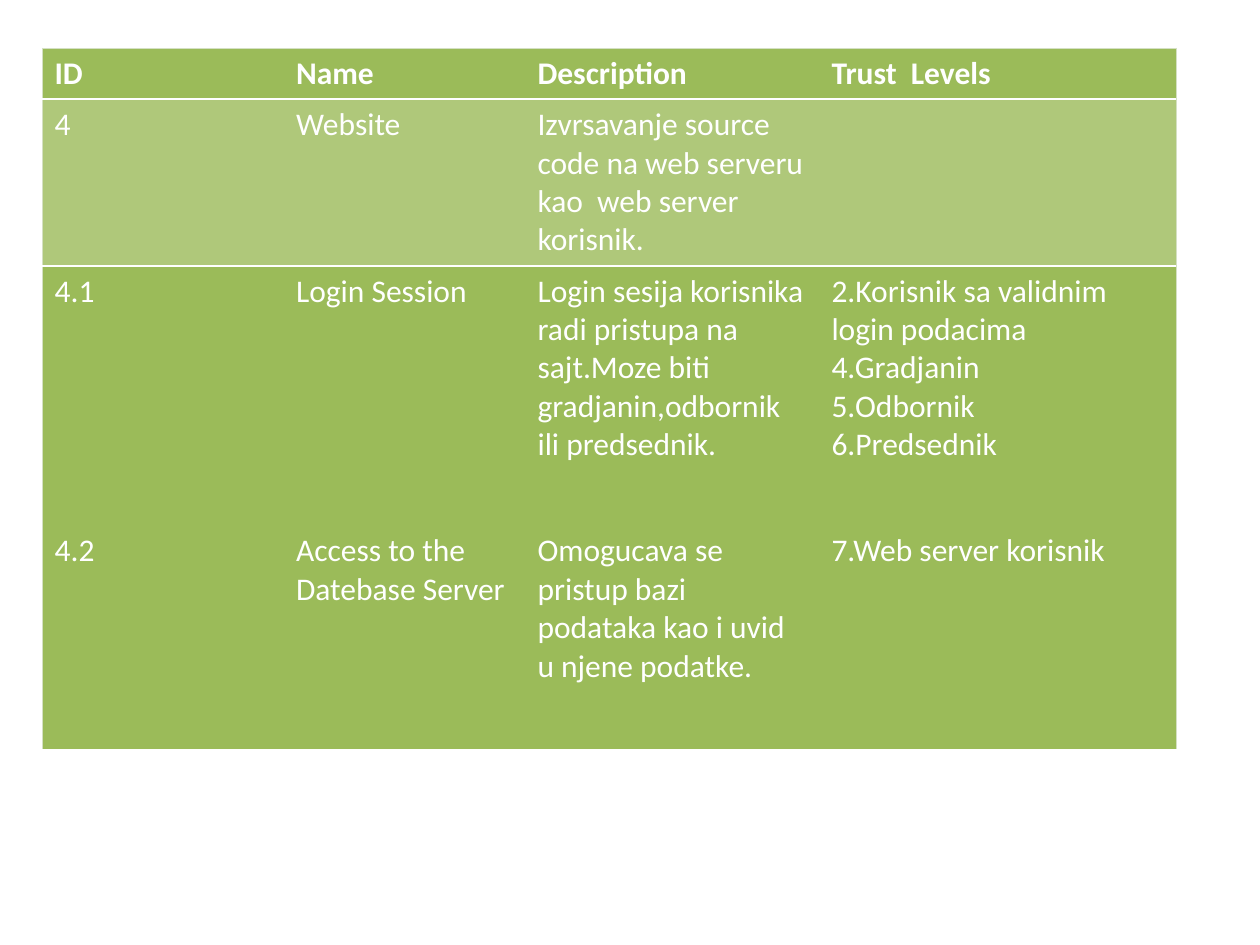
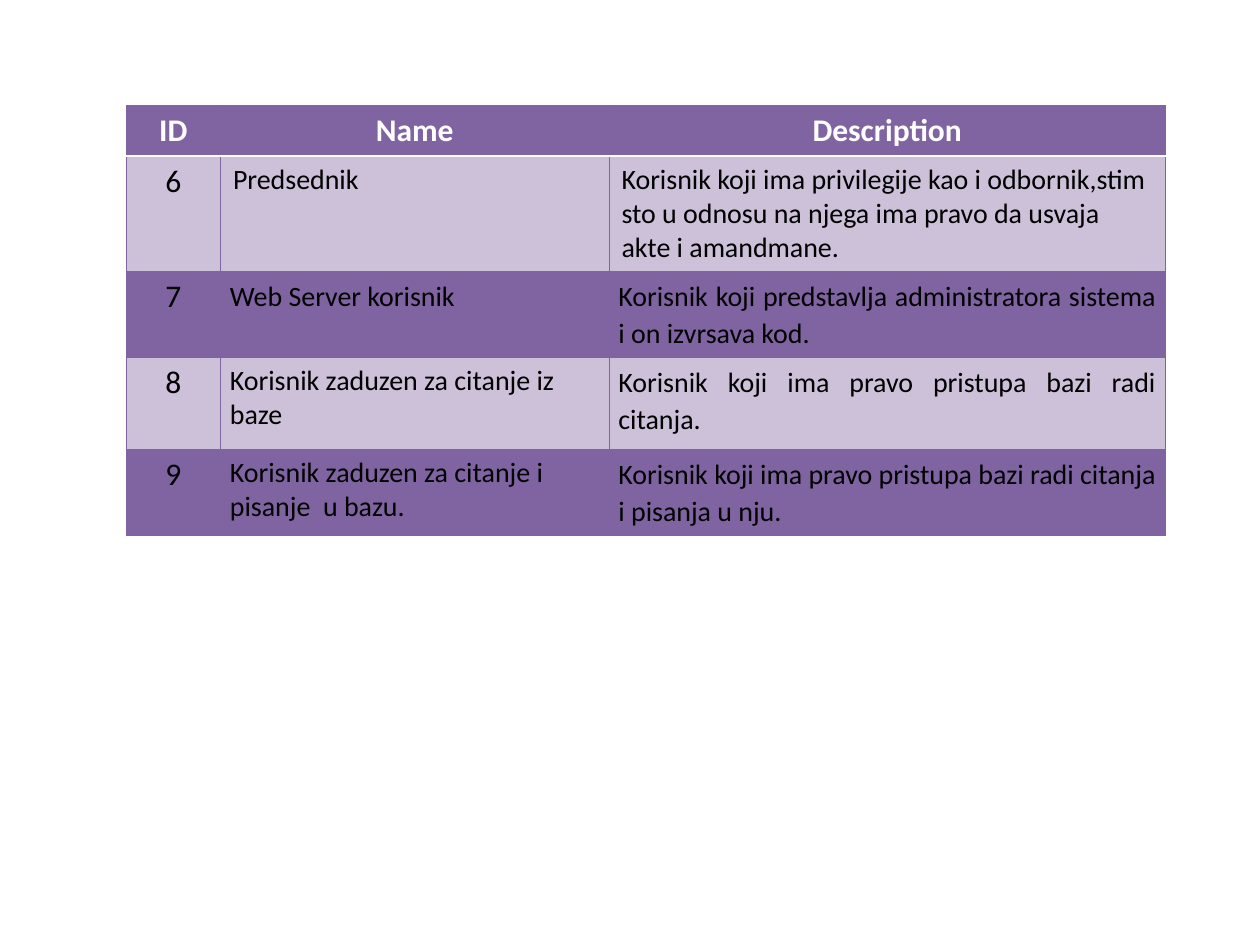
from dataclasses import dataclass

from lxml import etree
from pptx import Presentation
from pptx import util as u
from pptx.dml.color import RGBColor
from pptx.enum import text
from pptx.oxml import ns

Pt = u.Pt
ALIGN = text.PP_ALIGN


@dataclass(frozen=True)
class Theme:
    font: str = "Calibri"
    large: float = 18
    small: float = 16
    white: str = "FFFFFF"
    black: str = "000000"
    green: str = "9BBB59"
    lime: str = "AFC87A"
    mist: str = "D4E0C3"
    purple: str = "8064A2"
    lilac: str = "CCC1D9"
    hair: float = 0.34
    plain: str = "{2D5ABB26-0587-4C30-8999-92F81FD0307C}"  # no style, no grid


THEME = Theme()


@dataclass(frozen=True)
class Style:
    """How the text of one cell is set."""
    size: float = THEME.large
    color: str = THEME.white
    bold: bool = False
    align: ALIGN = ALIGN.LEFT
    space: float = 1.0
    side: float = 7.2


HEAD = Style(bold=True)
BODY = Style()
TITLE = Style(bold=True, align=ALIGN.CENTER)
COUNT = Style(color=THEME.black, align=ALIGN.CENTER)
WIDE = Style(THEME.small, THEME.black)
TIGHT = Style(THEME.small, THEME.black, side=5.4)
BLOCK = Style(THEME.small, THEME.black, align=ALIGN.JUSTIFY, space=1.07, side=5.4)


@dataclass(frozen=True)
class Grid:
    left: float
    top: float
    cols: list[float]
    rows: list[float]
    cells: list[list[str]]
    styles: list[list[Style]]
    fills: list[str]
    edge: str
    rule: float  # width of the white line under the header
    inner: bool  # whether inner cell borders are drawn


ASSETS = Grid(
    24, 27.5, [138, 138, 168, 204], [29.25, 94, 148.5, 127.5],
    [
        ["ID", "Name", "Description", "Trust  Levels"],
        ["4", "Website",
         "Izvrsavanje source code na web serveru kao  web server korisnik.", ""],
        ["4.1", "Login Session",
         "Login sesija korisnika radi pristupa na sajt.Moze biti "
         "gradjanin,odbornik ili predsednik.",
         "2.Korisnik sa validnim login podacima\n4.Gradjanin\n5.Odbornik\n6.Predsednik"],
        ["4.2", "Access to the Datebase Server",
         "Omogucava se pristup bazi podataka kao i uvid u njene podatke.",
         "7.Web server korisnik"],
    ],
    [[HEAD] * 4] + [[BODY] * 4] * 3,
    [THEME.green, THEME.lime, THEME.green, THEME.green],
    THEME.mist, 1.47, False,
)

USERS = Grid(
    72, 60, [54, 222, 318], [29.25, 65, 41, 52.5, 41],
    [
        ["ID", "Name", "Description"],
        ["6", "Predsednik",
         "Korisnik koji ima privilegije kao i odbornik,stim sto u odnosu na "
         "njega ima pravo da usvaja akte i amandmane."],
        ["7", "Web Server korisnik",
         "Korisnik koji predstavlja administratora sistema i on izvrsava kod."],
        ["8", "Korisnik zaduzen za citanje iz baze",
         "Korisnik koji ima pravo pristupa bazi radi citanja."],
        ["9", "Korisnik zaduzen za citanje i pisanje  u bazu.",
         "Korisnik koji ima pravo pristupa bazi radi citanja i pisanja u nju."],
    ],
    [[TITLE] * 3, [COUNT, WIDE, WIDE], [COUNT, BLOCK, BLOCK],
     [COUNT, TIGHT, BLOCK], [COUNT, TIGHT, BLOCK]],
    [THEME.purple, THEME.lilac, THEME.purple, THEME.lilac, THEME.purple],
    THEME.purple, 0.96, True,
)


def add_line(cell, place: int, side: str, color: str, width: float) -> None:
    """Insert one border; borders must come before the fill, in L, R, T, B order."""
    line = etree.Element(ns.qn(f"a:ln{side}"), w=str(int(Pt(width))))
    fill = etree.SubElement(line, ns.qn("a:solidFill"))
    etree.SubElement(fill, ns.qn("a:srgbClr"), val=color)
    cell._tc.get_or_add_tcPr().insert(place, line)


def add_edges(cell, grid: Grid, row: int, col: int) -> None:
    outer = {"L": col == 0, "R": col == len(grid.cols) - 1, "T": row == 0, "B": False}
    place = 0
    for side, shown in outer.items():
        if (side, row) in (("B", 0), ("T", 1)):
            add_line(cell, place, side, THEME.white, grid.rule)
        elif shown or grid.inner:
            add_line(cell, place, side, grid.edge, THEME.hair)
        else:
            continue
        place += 1


def set_text(cell, words: str, style: Style) -> None:
    cell.margin_left = cell.margin_right = Pt(style.side)
    cell.margin_top = cell.margin_bottom = Pt(3.6)
    cell.text_frame.text = words
    for para in cell.text_frame.paragraphs:
        para.alignment = style.align
        para.line_spacing = style.space
        para.font.name = THEME.font
        para.font.size = Pt(style.size)
        para.font.bold = style.bold
        for run in para.runs:  # the table style would win over a paragraph colour
            run.font.color.rgb = RGBColor.from_string(style.color)


def add_grid(deck, grid: Grid) -> None:
    """Add a blank slide that holds the table."""
    slide = deck.slides.add_slide(deck.slide_layouts[6])
    frame = slide.shapes.add_table(
        len(grid.rows), len(grid.cols), Pt(grid.left), Pt(grid.top),
        Pt(sum(grid.cols)), Pt(sum(grid.rows)))
    table = frame.table
    table.first_row = table.horz_banding = False
    table._tbl.tblPr.find(ns.qn("a:tableStyleId")).text = THEME.plain
    for col, width in enumerate(grid.cols):
        table.columns[col].width = Pt(width)
    for row, height in enumerate(grid.rows):
        table.rows[row].height = Pt(height)
        for col, words in enumerate(grid.cells[row]):
            cell = table.cell(row, col)
            set_text(cell, words, grid.styles[row][col])
            cell.fill.solid()
            cell.fill.fore_color.rgb = RGBColor.from_string(grid.fills[row])
            add_edges(cell, grid, row, col)


def main() -> None:
    deck = Presentation()
    deck.slide_width, deck.slide_height = Pt(720), Pt(540)
    for grid in (ASSETS, USERS):
        add_grid(deck, grid)
    deck.save("out.pptx")


if __name__ == "__main__":
    main()
